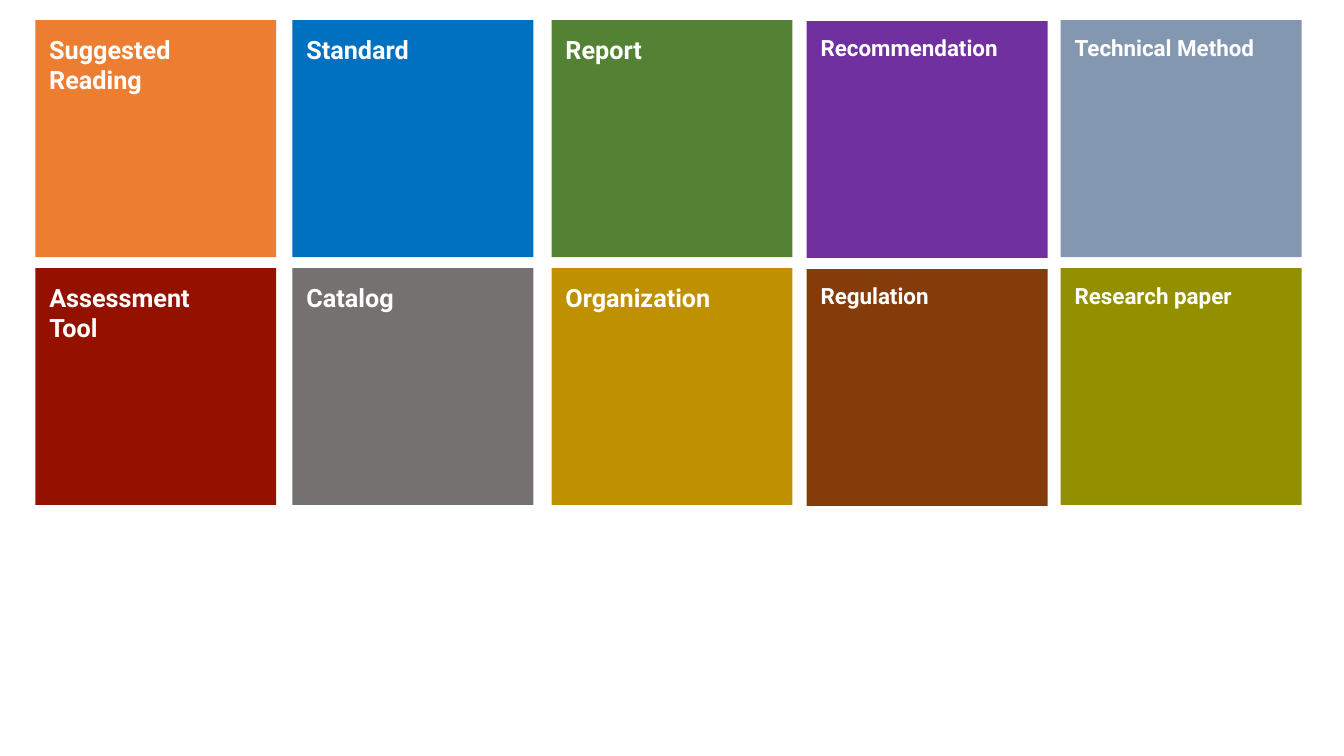
from dataclasses import dataclass

from pptx import Presentation
from pptx.dml.color import RGBColor
from pptx.enum import shapes, text
from pptx.util import Inches, Pt


@dataclass(frozen=True)
class Theme:
    font: str = "Roboto"
    label: str = "FFFFFF"
    large: int = 18
    small: int = 16
    orange: str = "ED7D31"
    blue: str = "0070C0"
    green: str = "548235"
    purple: str = "7030A0"
    slate: str = "8497B0"
    red: str = "941100"
    grey: str = "767171"
    gold: str = "BF9000"
    brown: str = "843C0B"
    olive: str = "929000"


THEME = Theme()

# Card grid, in inches
CARD_WIDTH, CARD_HEIGHT = 2.39, 2.35
FIRST_TOP, ROW_PITCH = 0.2, 2.46
LABEL_DX, LABEL_DY = 0.04, 0.09

# Columns: left edge, downward shift of the card, label size
COLUMNS = [
    (0.35, 0, THEME.large),
    (2.9, 0, THEME.large),
    (5.47, 0, THEME.large),
    (8, 0.01, THEME.small),
    (10.52, 0, THEME.small),
]

# Rows of cards: title, colour, label width
ROWS = [
    [
        ("Suggested\nReading", THEME.orange, 1.56),
        ("Standard", THEME.blue, 1.3),
        ("Report", THEME.green, 1.02),
        ("Recommendation", THEME.purple, 2.08),
        ("Technical Method", THEME.slate, 2.08),
    ],
    [
        ("Assessment\nTool", THEME.red, 1.69),
        ("Catalog", THEME.grey, 1.13),
        ("Organization", THEME.gold, 1.74),
        ("Regulation", THEME.brown, 1.36),
        ("Research paper", THEME.olive, 1.88),
    ],
]


def add_tile(card, left, top, color):
    """Add the coloured square of a card."""
    tile = card.shapes.add_shape(
        shapes.MSO_SHAPE.RECTANGLE,
        Inches(left), Inches(top), Inches(CARD_WIDTH), Inches(CARD_HEIGHT))
    tile.shadow.inherit = False
    tile.fill.solid()
    tile.fill.fore_color.rgb = RGBColor.from_string(color)
    tile.line.fill.background()


def add_label(card, left, top, width, title, size):
    """Add the title of a card, one paragraph per line."""
    line_count = len(title.splitlines())
    height = 0.1 + line_count * size / 60
    label = card.shapes.add_textbox(
        Inches(left), Inches(top), Inches(width), Inches(height))
    frame = label.text_frame
    frame.text = title
    frame.word_wrap = False
    frame.auto_size = text.MSO_AUTO_SIZE.SHAPE_TO_FIT_TEXT
    for paragraph in frame.paragraphs:
        for run in paragraph.runs:
            run.font.name = THEME.font
            run.font.size = Pt(size)
            run.font.bold = True
            run.font.color.rgb = RGBColor.from_string(THEME.label)


def add_card(slide, left, top, shift, size, title, color, label_width):
    """Group a tile with its label."""
    card = slide.shapes.add_group_shape()
    add_tile(card, left, top + shift, color)
    add_label(card, left + LABEL_DX, top + LABEL_DY, label_width, title, size)


def main():
    deck = Presentation()
    deck.slide_width, deck.slide_height = Inches(13.33), Inches(7.5)
    slide = deck.slides.add_slide(deck.slide_layouts[6])

    # Two rows of category cards
    for row, cards in enumerate(ROWS):
        top = FIRST_TOP + row * ROW_PITCH
        for (left, shift, size), card in zip(COLUMNS, cards):
            add_card(slide, left, top, shift, size, *card)

    deck.save("out.pptx")


if __name__ == "__main__":
    main()
